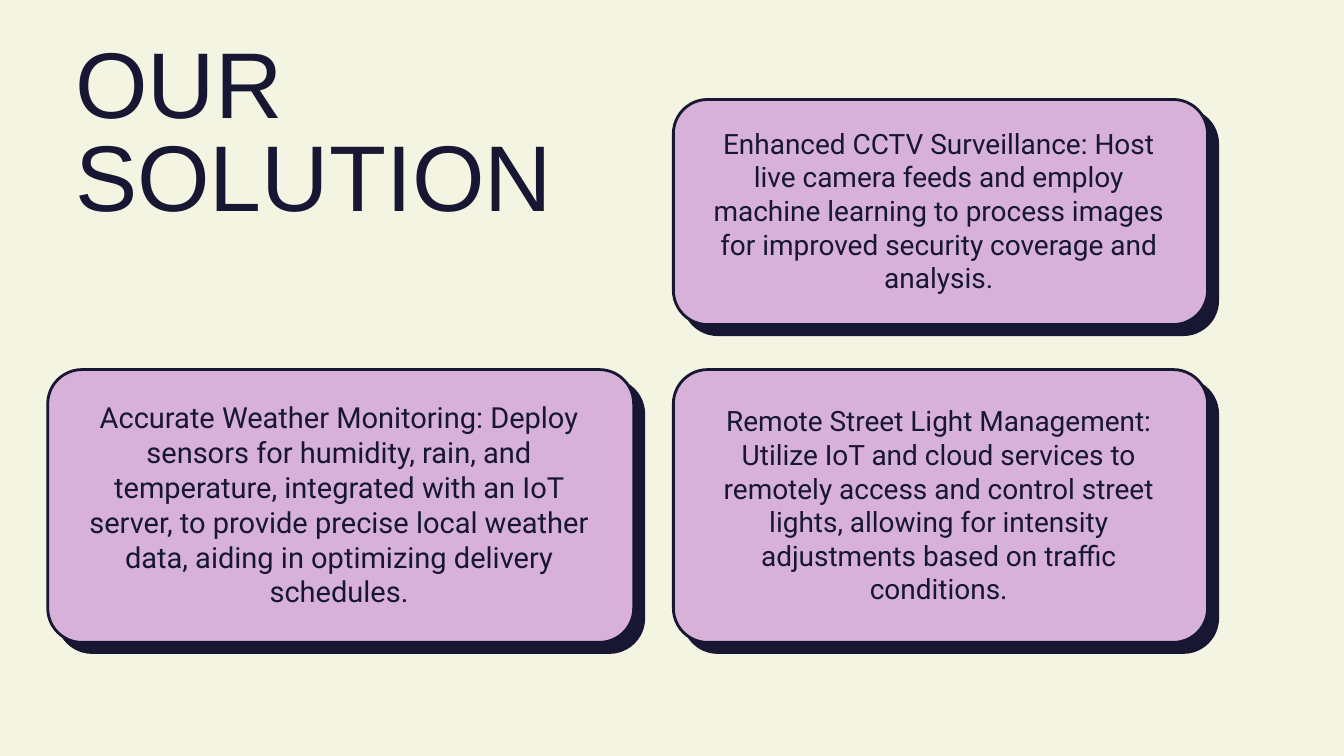
import dataclasses

import pptx
import pptx.dml.color
import pptx.enum.shapes
import pptx.enum.text
import pptx.presentation
import pptx.shapes.autoshape
import pptx.slide
import pptx.text.text
import pptx.util
from pptx.util import Inches

COLORS = {"background": "F4F4E3", "card": "D8B1D8", "ink": "171733"}
CORNER_RADIUS = 0.51
SHADOW_OFFSET = 0.15
OUTLINE_POINTS = 3


@dataclasses.dataclass(frozen=True)
class Box:
    left: float
    top: float
    width: float
    height: float

    def shifted(self, distance: float) -> "Box":
        return Box(self.left + distance, self.top + distance, self.width, self.height)

    def lengths(self) -> tuple[int, int, int, int]:
        return Inches(self.left), Inches(self.top), Inches(self.width), Inches(self.height)


@dataclasses.dataclass(frozen=True)
class Card:
    face: Box
    text_box: Box
    text: str
    font_size: float = 30
    line_spacing: float = 36


CARDS = [
    Card(
        Box(10.02, 5.5, 7.95, 4.06),
        Box(10.48, 6.01, 6.98, 3.01),
        "Remote Street Light Management: Utilize IoT and cloud services to remotely "
        "access and control street lights, allowing for intensity adjustments based "
        "on traffic conditions.",
    ),
    Card(
        Box(10.02, 1.48, 7.95, 3.35),
        Box(10.48, 1.88, 6.98, 2.51),
        "Enhanced CCTV Surveillance: Host live camera feeds and employ machine "
        "learning to process images for improved security coverage and analysis.",
    ),
    Card(
        Box(0.71, 5.5, 8.72, 4.06),
        Box(1.22, 5.95, 7.65, 3.11),
        "Accurate Weather Monitoring: Deploy sensors for humidity, rain, and "
        "temperature, integrated with an IoT server, to provide precise local weather "
        "data, aiding in optimizing delivery schedules.",
        font_size=31.1,
        line_spacing=37.3,
    ),
]


def color(name: str) -> pptx.dml.color.RGBColor:
    return pptx.dml.color.RGBColor.from_string(COLORS[name])


def write_text(
    frame: pptx.text.text.TextFrame,
    text: str,
    font_name: str,
    font_size: float,
    line_spacing: float,
    alignment: pptx.enum.text.PP_ALIGN,
) -> None:
    frame.margin_left = frame.margin_top = frame.margin_right = frame.margin_bottom = 0
    frame.word_wrap = True
    frame.auto_size = pptx.enum.text.MSO_AUTO_SIZE.NONE
    frame.vertical_anchor = pptx.enum.text.MSO_ANCHOR.TOP
    paragraph = frame.paragraphs[0]
    paragraph.alignment = alignment
    paragraph.line_spacing = pptx.util.Pt(line_spacing)
    run = paragraph.add_run()
    run.text = text
    run.font.name = font_name
    run.font.size = pptx.util.Pt(font_size)
    run.font.color.rgb = color("ink")


def draw_panel(slide: pptx.slide.Slide, box: Box, fill: str) -> None:
    shape = slide.shapes.add_shape(
        pptx.enum.shapes.MSO_SHAPE.ROUNDED_RECTANGLE, *box.lengths()
    )
    shape.adjustments[0] = CORNER_RADIUS / min(box.width, box.height)
    shape.shadow.inherit = False
    shape.fill.solid()
    shape.fill.fore_color.rgb = color(fill)
    shape.line.color.rgb = color("ink")
    shape.line.width = pptx.util.Pt(OUTLINE_POINTS)


def draw_card(slide: pptx.slide.Slide, card: Card) -> None:
    draw_panel(slide, card.face.shifted(SHADOW_OFFSET), "ink")
    draw_panel(slide, card.face, "card")
    text_box = slide.shapes.add_textbox(*card.text_box.lengths())
    write_text(
        text_box.text_frame,
        card.text,
        "Roboto",
        card.font_size,
        card.line_spacing,
        pptx.enum.text.PP_ALIGN.CENTER,
    )


def draw_title(slide: pptx.slide.Slide, box: Box, text: str) -> None:
    title = slide.shapes.title
    title.left, title.top, title.width, title.height = box.lengths()
    write_text(
        title.text_frame, text, "Arial", 100, 100, pptx.enum.text.PP_ALIGN.LEFT
    )


def main() -> None:
    presentation = pptx.Presentation()
    presentation.slide_width = Inches(20)
    presentation.slide_height = Inches(11.25)
    title_only_layout = presentation.slide_layouts[5]
    slide = presentation.slides.add_slide(title_only_layout)
    slide.background.fill.solid()
    slide.background.fill.fore_color.rgb = color("background")
    draw_title(slide, Box(1.12, 0.65, 7.91, 3.06), "OUR SOLUTION")
    for card in CARDS:
        draw_card(slide, card)
    presentation.save("out.pptx")


if __name__ == "__main__":
    main()
